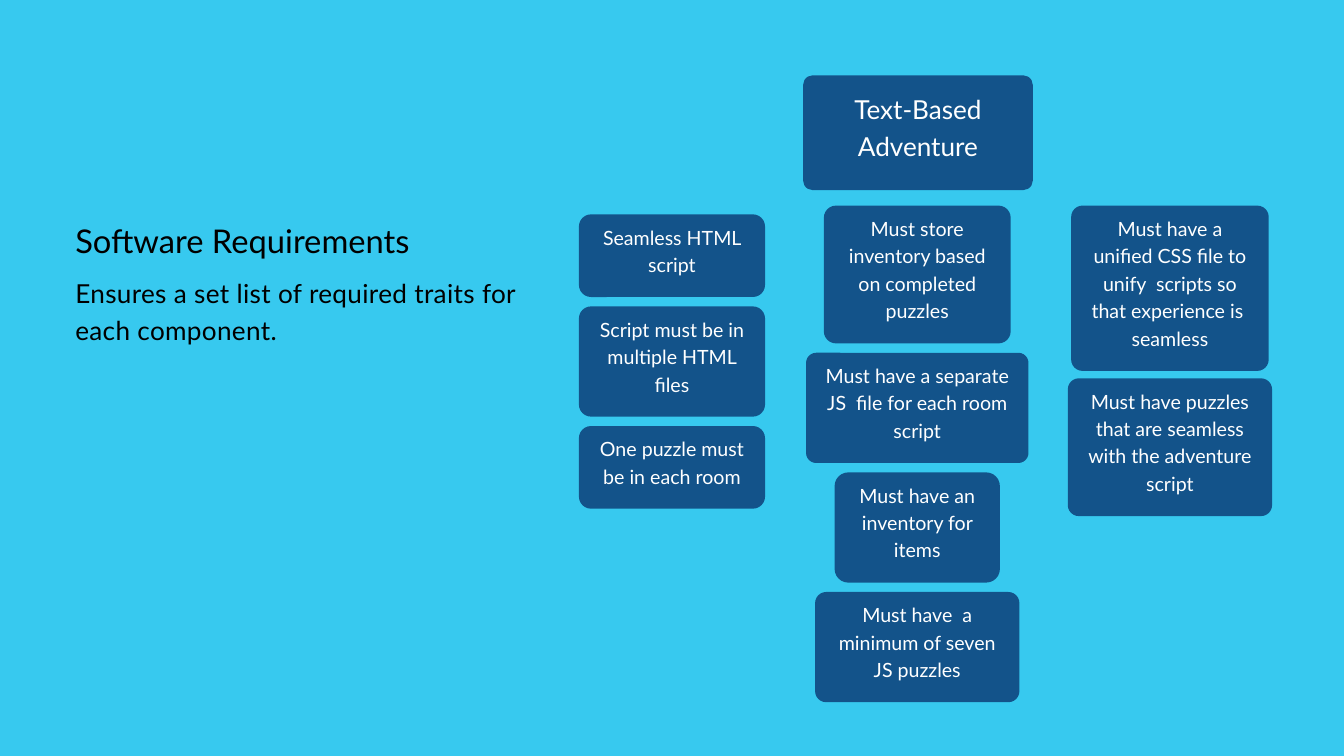
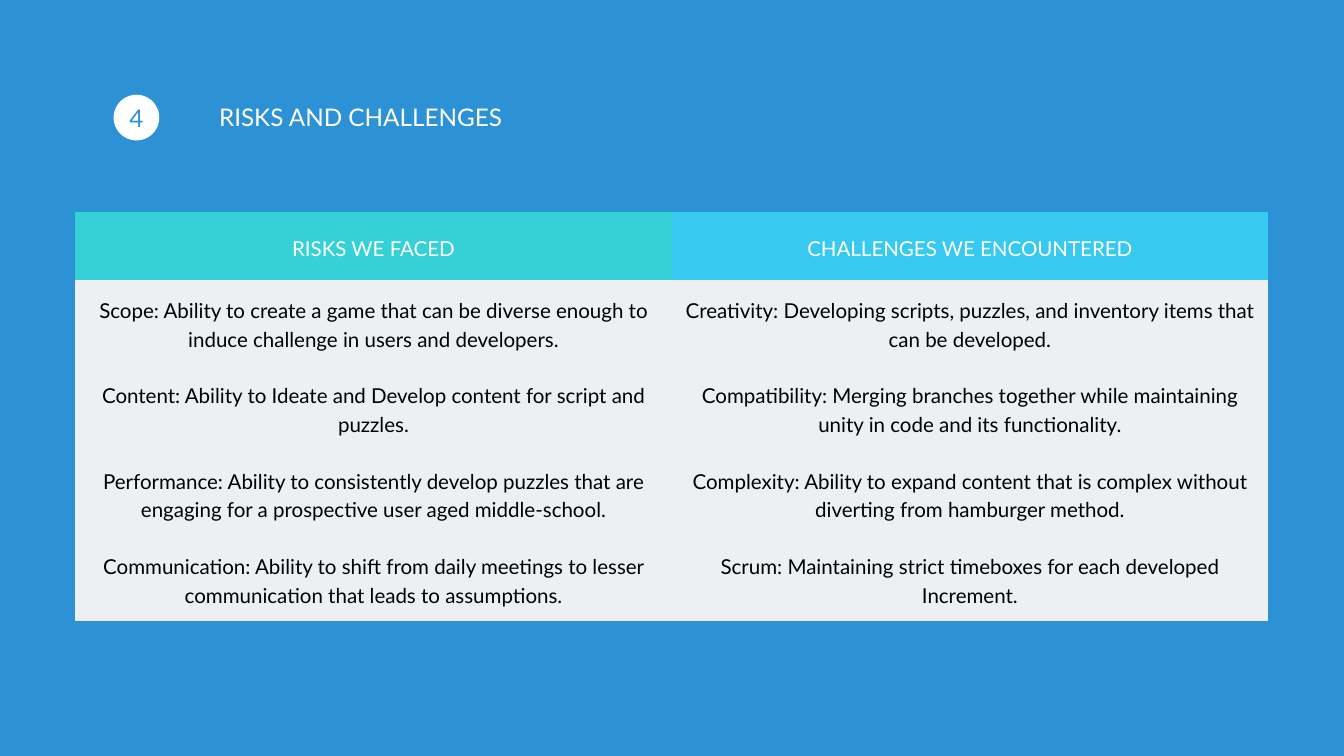
from lxml.etree import SubElement
from pptx import Presentation
from pptx.dml.color import RGBColor
from pptx.enum.shapes import MSO_SHAPE as Preset
from pptx.enum.text import MSO_ANCHOR as Anchor, MSO_AUTO_SIZE as AutoSize, PP_ALIGN as Align
from pptx.oxml.ns import qn
from pptx.util import Inches, Pt

FONT = "Lato"
COLORS = {
    "sky": "37C9EF", "blue": "2C92D5", "navy": "13538A", "teal": "36D1D6",
    "pale": "EDF0F2", "white": "FFFFFF", "black": "000000",
}
MARGIN = 1.12

# Slide 1: the root card, then one column of cards per component
REQUIREMENTS_TITLE = "Software Requirements"
REQUIREMENTS_INTRO = "Ensures a set list of required traits for each component."
ROOT_CARD = "Text-Based Adventure"
CARD_COLUMNS = [  # center, top, gap, cards as (text, width, lines)
    (10.0, 3.19, 0.14, [
        ("Seamless HTML script", 2.77, 2),
        ("Script must be in multiple HTML files", 2.77, 3),
        ("One puzzle must be in each room", 2.77, 2),
    ]),
    (13.65, 3.06, 0.14, [
        ("Must store inventory based on completed puzzles", 2.78, 4),
        ("Must have a separate JS  file for each room script", 3.31, 3),
        ("Must have an inventory for items", 2.46, 3),
        ("Must have  a minimum of seven JS puzzles", 3.04, 3),
    ]),
    (17.41, 3.06, 0.11, [
        ("Must have a unified CSS file to unify  scripts so that experience is  seamless", 2.94, 5),
        ("Must have puzzles that are seamless with the adventure script", 3.04, 4),
    ]),
]
CARD_LINE = 0.41

# Slide 2
RISKS_TITLE = "RISKS AND CHALLENGES"
SECTION_NUMBER = "4"
RISK_HEADERS = [("RISKS WE FACED", "teal"), ("CHALLENGES WE ENCOUNTERED", "sky")]
RISK_ROWS = [
    ("Scope: Ability to create a game that can be diverse enough to induce challenge "
     "in users and developers.",
     "Creativity: Developing scripts, puzzles, and inventory items that can be developed."),
    ("Content: Ability to Ideate and Develop content for script and puzzles.",
     "Compatibility: Merging branches together while maintaining unity in code and its "
     "functionality."),
    ("Performance: Ability to consistently develop puzzles that are engaging for a "
     "prospective user aged middle-school.",
     "Complexity: Ability to expand content that is complex without diverting from "
     "hamburger method."),
    ("Communication: Ability to shift from daily meetings to lesser communication that "
     "leads to assumptions.",
     "Scrum: Maintaining strict timeboxes for each developed Increment."),
]
NO_TABLE_STYLE = "{2D5ABB26-0587-4C30-8999-92F81FD0307C}"


def rgb(name):
    return RGBColor.from_string(COLORS[name])


def add_slide(presentation, layout, background):
    slide = presentation.slides.add_slide(presentation.slide_layouts[layout])
    slide.background.fill.solid()
    slide.background.fill.fore_color.rgb = rgb(background)
    return slide


def set_margins(target, left, top, right, bottom):
    target.margin_left, target.margin_top = Inches(left), Inches(top)
    target.margin_right, target.margin_bottom = Inches(right), Inches(bottom)


def write(frame, text, size, color, leading, align=Align.CENTER):
    frame.word_wrap = True
    frame.text = text
    paragraph = frame.paragraphs[0]
    paragraph.alignment = align
    paragraph.line_spacing = Pt(leading)
    paragraph.space_before = Pt(0)
    paragraph.font.name = FONT
    paragraph.font.size = Pt(size)
    paragraph.font.color.rgb = rgb(color)
    return paragraph


def fill_placeholder(shape, box, text, size, color, leading, anchor, margins=(0, 0, 0, 0)):
    shape.left, shape.top, shape.width, shape.height = map(Inches, box)
    frame = shape.text_frame
    frame.auto_size = AutoSize.NONE
    frame.vertical_anchor = anchor
    set_margins(frame, *margins)
    return write(frame, text, size, color, leading, Align.LEFT)


def add_filled_shape(slide, preset, box, color):
    shape = slide.shapes.add_shape(preset, *map(Inches, box))
    shape.shadow.inherit = False
    shape.fill.solid()
    shape.fill.fore_color.rgb = rgb(color)
    shape.line.fill.background()
    shape.text_frame.vertical_anchor = Anchor.MIDDLE
    return shape


def add_card(slide, center, top, width, height, text, size, top_margin):
    card = add_filled_shape(slide, Preset.ROUNDED_RECTANGLE,
                            (center - width / 2, top, width, height), "navy")
    radius = 0.5 / width
    card.adjustments[0] = radius / min(width, height)
    side = 0.28 - 0.29 * radius  # the rounded corners already inset the text
    set_margins(card.text_frame, side, top_margin, side, 0.28)
    write(card.text_frame, text, size, "white", size * 1.4)


def build_requirements(presentation):
    slide = add_slide(presentation, 1, "sky")
    title, intro = slide.placeholders
    fill_placeholder(title, (MARGIN, 3.24, 6.72, 0.61), REQUIREMENTS_TITLE,
                     35, "black", 45.5, Anchor.TOP)
    paragraph = fill_placeholder(intro, (MARGIN, 4.05, 6.72, 1.05), REQUIREMENTS_INTRO,
                                 28, "black", 39.2, Anchor.TOP)

    # Plain intro: no bullet, no indent, slightly wider tracking
    properties = paragraph._p.get_or_add_pPr()
    properties.set("marL", "0")
    properties.set("indent", "0")
    bullet = SubElement(properties, qn("a:buNone"))
    properties.find(qn("a:defRPr")).addprevious(bullet)
    paragraph.runs[0].font._element.set("spc", "40")

    # Cards
    add_card(slide, 13.66, 1.12, 3.42, 1.71, ROOT_CARD, 28, 0.04)
    for center, top, gap, cards in CARD_COLUMNS:
        for text, width, lines in cards:
            height = CARD_LINE * (lines + 1)
            add_card(slide, center, top, width, height, text, 21, 0.08)
            top += height + gap


def fill_cell(cell, text, fill, color):
    cell.fill.solid()
    cell.fill.fore_color.rgb = rgb(fill)
    cell.vertical_anchor = Anchor.MIDDLE
    set_margins(cell, *[0.19] * 4)
    write(cell.text_frame, text, 22, color, 30.8)


def build_risks(presentation):
    slide = add_slide(presentation, 5, "blue")
    fill_placeholder(slide.shapes.title, (MARGIN, 1.09, 11.78, 1.29), RISKS_TITLE,
                     26, "white", 31.2, Anchor.MIDDLE, (2.14, 0.28, 0.28, 0.28))

    # Risks and challenges table
    table = slide.shapes.add_table(len(RISK_ROWS) + 1, len(RISK_HEADERS), Inches(MARGIN),
                                   Inches(3.16), Inches(17.75), Inches(6.1)).table
    table._tbl.tblPr.find(qn("a:tableStyleId")).text = NO_TABLE_STYLE
    table.horz_banding = False
    for index, row in enumerate(table.rows):
        row.height = Inches(1.27 if index else 1.01)
    for column, (header, fill) in enumerate(RISK_HEADERS):
        fill_cell(table.cell(0, column), header, fill, "white")
        for index, texts in enumerate(RISK_ROWS, 1):
            fill_cell(table.cell(index, column), texts[column], "pale", "black")

    # Section number
    badge = add_filled_shape(slide, Preset.OVAL, (1.69, 1.41, 0.68, 0.68), "white")
    set_margins(badge.text_frame, 0, 0, 0, 0.06)
    write(badge.text_frame, SECTION_NUMBER, 26, "blue", 36.4)


def main():
    presentation = Presentation()
    presentation.slide_width, presentation.slide_height = Inches(20), Inches(11.25)
    build_requirements(presentation)
    build_risks(presentation)
    presentation.save("out.pptx")


if __name__ == "__main__":
    main()
